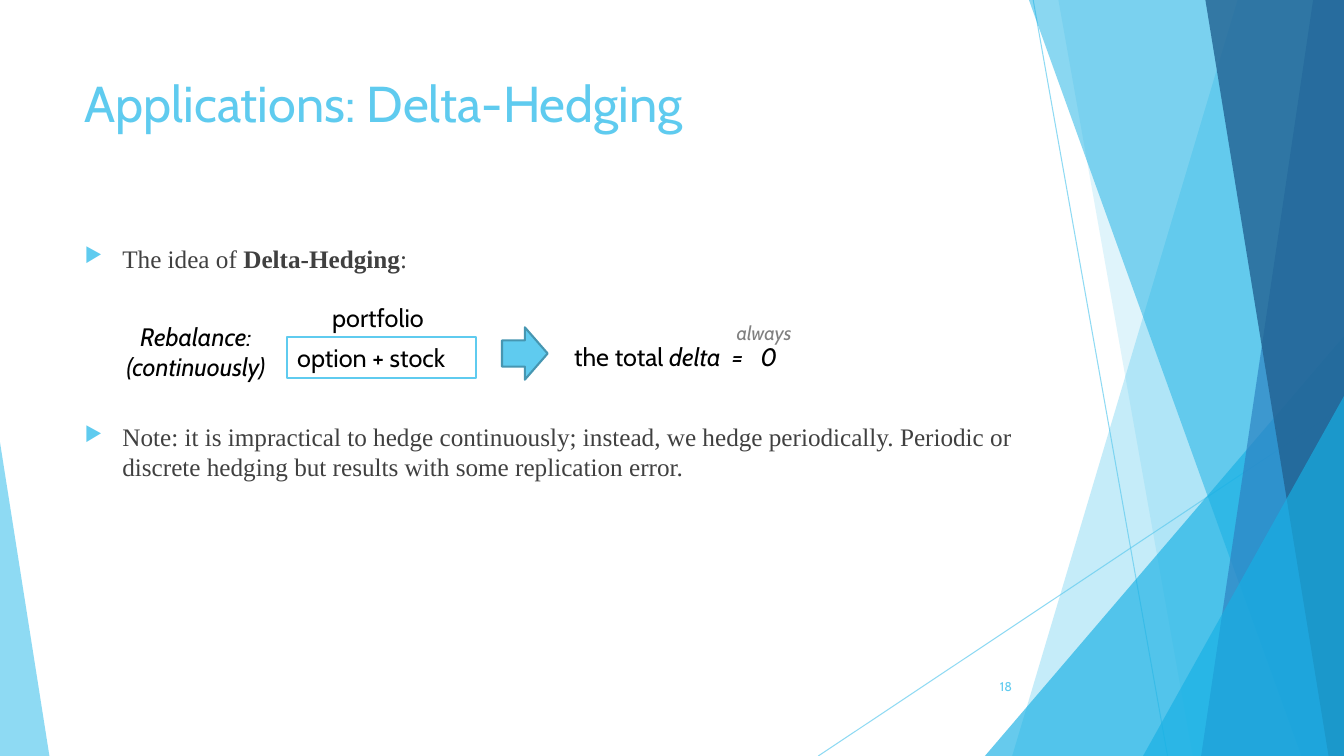
from dataclasses import dataclass

from lxml import etree
from pptx import Presentation
from pptx import util as u
from pptx.dml import color
from pptx.enum import shapes, text
from pptx.oxml import ns

W, H = 960, 540  # slide size in points


@dataclass(frozen=True)
class Theme:
    sky: str = "5FCBEF"
    cyan: str = "17B0E4"
    blue: str = "2E83C3"
    navy: str = "226292"
    edge: str = "4696B1"
    white: str = "FFFFFF"
    black: str = "000000"
    dark: str = "404040"
    grey: str = "808080"
    sans: str = "Cabin"
    serif: str = "Times New Roman"
    title: int = 36
    text: int = 18
    small: int = 14
    number: int = 9


def sub(parent, tag, **attrs):
    return etree.SubElement(parent, ns.qn(tag), attrs)


class Deck:
    def __init__(self, theme):
        self.t = theme
        self.prs = Presentation()
        self.prs.slide_width, self.prs.slide_height = u.Pt(W), u.Pt(H)
        self.s = self.prs.slides.add_slide(self.prs.slide_layouts[6])

    def paint(self, fmt, rgb, alpha=100):
        fmt.solid()
        fmt.fore_color.rgb = color.RGBColor.from_string(rgb)
        if alpha < 100:
            clr = next(fmt.fore_color._xFill.iter(ns.qn("a:srgbClr")))
            sub(clr, "a:alpha", val=str(alpha * 1000))

    def finish(self, sp, fill, alpha=100, line=None):
        sp.shadow.inherit = False
        self.paint(sp.fill, fill, alpha)
        if line:
            self.paint(sp.line.fill, line)
            sp.line.width = u.Pt(1.5)
        else:
            sp.line.fill.background()
        return sp

    def line(self, x1, y1, x2, y2):
        sp = self.s.shapes.add_connector(
            shapes.MSO_CONNECTOR.STRAIGHT, *map(u.Pt, (x1, y1, x2, y2)))
        self.paint(sp.line.fill, self.t.sky, 70)
        sp.line.width = u.Pt(0.75)
        sub(sp._element.spPr, "a:effectLst")

    def band(self, top, bottom, fill, alpha):
        """Full-height band from a slanted left edge to the slide's right edge."""
        pts = [(u.Pt(x), u.Pt(y))
               for x, y in ((top, 0), (W, 0), (W, H), (bottom, H))]
        fb = self.s.shapes.build_freeform(*pts[0], scale=1.0)
        fb.add_line_segments(pts[1:], close=True)
        self.finish(fb.convert_to_shape(), fill, alpha)

    def shape(self, kind, box, fill, alpha=100, line=None, adj=None):
        sp = self.s.shapes.add_shape(
            getattr(shapes.MSO_SHAPE, kind), *map(u.Pt, box))
        if adj is not None:
            sp.adjustments[0] = adj
        return self.finish(sp, fill, alpha, line)

    def text(self, box, *paras, sp=None, align="LEFT", anchor="TOP", **font):
        """Each paragraph is a list of (text, font changes) runs."""
        sp = sp or self.s.shapes.add_textbox(*map(u.Pt, box))
        tf = sp.text_frame
        tf.word_wrap = True
        tf.vertical_anchor = getattr(text.MSO_ANCHOR, anchor)
        for i, runs in enumerate(paras):
            p = tf.add_paragraph() if i else tf.paragraphs[0]
            p.alignment = getattr(text.PP_ALIGN, align)
            for words, change in runs:
                r = p.add_run()
                r.text = words
                fmt = {"name": self.t.sans, "size": self.t.text,
                       "color": self.t.black, **font, **change}
                r.font.color.rgb = color.RGBColor.from_string(fmt.pop("color"))
                fmt["size"] = u.Pt(fmt["size"])
                for key, value in fmt.items():
                    setattr(r.font, key, value)
        return tf

    def bullet(self, p, before):
        p.space_before = u.Pt(before)
        pPr = p._p.get_or_add_pPr()
        pPr.set("marL", str(u.Pt(27)))
        pPr.set("indent", str(u.Pt(-27)))
        sub(sub(pPr, "a:buClr"), "a:srgbClr", val=self.t.sky)
        sub(pPr, "a:buSzPct", val="80000")
        sub(pPr, "a:buChar", char="▶")

    def tabs(self, p, *stops):
        tabs = sub(p._p.get_or_add_pPr(), "a:tabLst")
        for pos in stops:
            sub(tabs, "a:tab", pos=str(u.Pt(pos)), algn="l")


def main():
    t = Theme()
    d = Deck(t)
    italic = {"italic": True}

    # Background facets
    d.line(738, 0, 834, H)
    d.line(W, 290, 584.5, H)
    d.band(884, 723, t.sky, 36)
    d.band(756, 852, t.sky, 20)
    d.shape("ISOSCELES_TRIANGLE", (703.5, 240, 256.5, 300), t.cyan, 66, adj=1)
    d.band(735, 929.5, t.cyan, 50)
    d.band(938, 858, t.blue, 70)
    d.band(861, 949, t.navy, 80)
    d.shape("ISOSCELES_TRIANGLE", (816.5, 283, 143.5, 257), t.cyan, 66, adj=1)
    d.shape("ISOSCELES_TRIANGLE", (0, 316, 35.3, 224), t.sky, 70, adj=0)

    # Title and slide number
    d.text((53.3, 48, 677, 104), [("Applications: Delta-Hedging", {})],
           size=t.title, color=t.sky)
    d.text((676, 476, 54, 28.8), [("18", {})], align="RIGHT", anchor="MIDDLE",
           size=t.number, color=t.sky)

    # Bullets, with room between them for the diagram
    tf = d.text(
        (53.3, 170, 677, 305),
        [("The idea of ", {}), ("Delta-Hedging", {"bold": True}), (":", {})],
        [("Note: it is impractical to hedge continuously; instead, we hedge "
          "periodically. Periodic or discrete hedging but results with some "
          "replication error.", {})],
        name=t.serif, color=t.dark)
    for p, before in zip(tf.paragraphs, (10, 105.7)):
        d.bullet(p, before)

    # Diagram: rebalanced portfolio leads to zero delta
    box = (205.2, 241, 134.8, 29)
    sp = d.shape("RECTANGLE", box, t.white, line=t.sky)
    d.text(box, [("option + stock", {})], sp=sp)
    d.text((230.2, 212.5, 85, 29), [("portfolio", {})])
    d.text((75, 226, 130, 51), [("Rebalance:", {})], [("(continuously)", {})],
           align="CENTER", **italic)
    d.shape("RIGHT_ARROW", (358.6, 233.8, 32.6, 37.4), t.sky, line=t.edge)
    tf = d.text((403, 240.5, 181, 29),
                [("the total ", {}), ("delta\t=\t0", italic)])
    d.tabs(tf.paragraphs[0], 112.5, 133)
    d.text((519, 226, 57, 24.5), [("always", {})],
           size=t.small, color=t.grey, **italic)

    d.prs.save("out.pptx")


if __name__ == "__main__":
    main()
